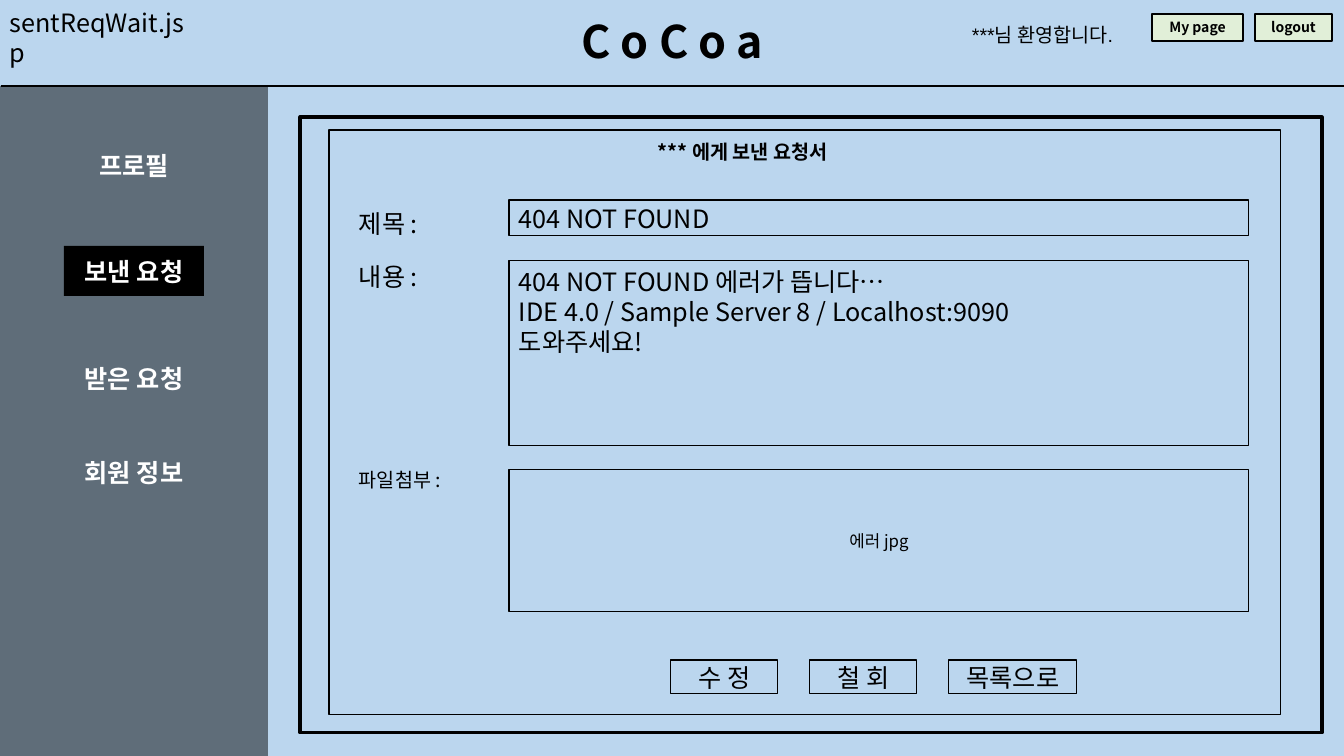
from lxml.etree import SubElement
from pptx import Presentation
from pptx.dml.color import RGBColor
from pptx.enum.shapes import MSO_CONNECTOR, MSO_SHAPE
from pptx.enum.text import MSO_ANCHOR, MSO_AUTO_SIZE, PP_ALIGN
from pptx.oxml.ns import qn
from pptx.util import Pt

PX = 914400 / 100.8
FONT = "Noto Sans CJK KR"
COLORS = {
    "background": "BBD6EE",
    "button": "E1EFD8",
    "black": "000000",
    "white": "FFFFFF",
}
LEFT, CENTER = PP_ALIGN.LEFT, PP_ALIGN.CENTER
TOP, MIDDLE = MSO_ANCHOR.TOP, MSO_ANCHOR.MIDDLE


def write(shape, text, size, color="black", bold=False, align=LEFT,
          anchor=TOP, latin=FONT):
    frame = shape.text_frame
    frame.text = text
    frame.word_wrap = True
    frame.auto_size = MSO_AUTO_SIZE.NONE
    frame.vertical_anchor = anchor
    for paragraph in frame.paragraphs:
        paragraph.alignment = align
        for run in paragraph.runs:
            run.font.size = Pt(size)
            run.font.bold = bold
            run.font.name = latin
            run.font.color.rgb = RGBColor.from_string(COLORS[color])
            SubElement(run._r.get_or_add_rPr(), qn("a:ea"), typeface=FONT)


def add_box(area, fill=None, line=None):
    shape = slide.shapes.add_shape(
        MSO_SHAPE.RECTANGLE, *[round(value * PX) for value in area])
    shape.shadow.inherit = False
    if fill:
        shape.fill.solid()
        shape.fill.fore_color.rgb = RGBColor.from_string(COLORS[fill])
    else:
        shape.fill.background()
    if line:
        shape.line.color.rgb = RGBColor.from_string(COLORS["black"])
        shape.line.width = Pt(line)
    else:
        shape.line.fill.background()
    return shape


presentation = Presentation()
presentation.slide_width = round(1344 * PX)
presentation.slide_height = round(756 * PX)
slide = presentation.slides.add_slide(presentation.slide_layouts[5])
slide.background.fill.solid()
slide.background.fill.fore_color.rgb = RGBColor.from_string(COLORS["background"])

# Header: title, rule and buttons
title = slide.shapes.title
title.left, title.top = round(509 * PX), round(9 * PX)
title.width, title.height = round(327 * PX), round(64 * PX)
write(title, "C o C o a", 32, bold=True, align=CENTER)

rule = slide.shapes.add_connector(
    MSO_CONNECTOR.STRAIGHT,
    *[round(value * PX) for value in (1, 86, 1344, 86)])
rule.line.color.rgb = RGBColor.from_string(COLORS["black"])
rule.line.width = Pt(0.75)
SubElement(rule._element.spPr, qn("a:effectLst"))

for label, left, width in [("My page", 1152, 91), ("logout", 1255, 77)]:
    button = add_box((left, 14, width, 27), "button", 1)
    write(button, label, 10, bold=True, align=CENTER)

# Sidebar with the current entry in black
sidebar = add_box((0, 86, 268, 670), "black")
color = sidebar.fill._xPr.find(qn("a:solidFill"))[0]
SubElement(color, qn("a:alpha"), val="49000")

for label, top, fill in [
    ("프로필", 140, None),
    ("보낸 요청", 246, "black"),
    ("받은 요청", 353, None),
    ("회원 정보", 447, None),
]:
    entry = add_box((64, top, 140, 50), fill)
    write(entry, label, 18, "white", True, CENTER, MIDDLE)

# Request panel frames
add_box((300, 117, 1022, 616), line=2.25)
add_box((329, 130, 952, 585), line=0.75)

# Plain labels
for text, area, size, bold, latin in [
    ("sentReqWait.jsp", (0, 2, 202, 40), 18, False, FONT),
    ("***님 환영합니다.", (962, 18, 172, 34), 14, False, "Arial"),
    ("*** 에게 보낸 요청서", (648, 135, 396, 34), 14, True, FONT),
    ("제목 :", (349, 203, 92, 40), 18, False, FONT),
    ("내용 :", (349, 256, 92, 40), 18, False, FONT),
    ("파일첨부 :", (349, 463, 111, 34), 14, False, FONT),
]:
    label = slide.shapes.add_textbox(*[round(value * PX) for value in area])
    write(label, text, size, bold=bold, latin=latin)

# Form fields
message = "\n".join([
    "404 NOT FOUND 에러가 뜹니다…",
    "IDE 4.0 / Sample Server 8 / Localhost:9090",
    "도와주세요!",
])
for text, top, height, size, align, anchor in [
    ("404 NOT FOUND", 200, 36, 18, LEFT, MIDDLE),
    (message, 261, 185, 18, LEFT, TOP),
    ("에러 jpg", 470, 142, 12, CENTER, MIDDLE),
]:
    field = add_box((509, top, 740, height), line=0.75)
    write(field, text, size, align=align, anchor=anchor)

# Action buttons, 139 px apart
for index, (text, width) in enumerate(
        [("수 정", 107), ("철 회", 107), ("목록으로", 128)]):
    action = add_box((671 + 139 * index, 660, width, 34), line=0.75)
    write(action, text, 18, align=CENTER, anchor=MIDDLE)

presentation.save("out.pptx")
